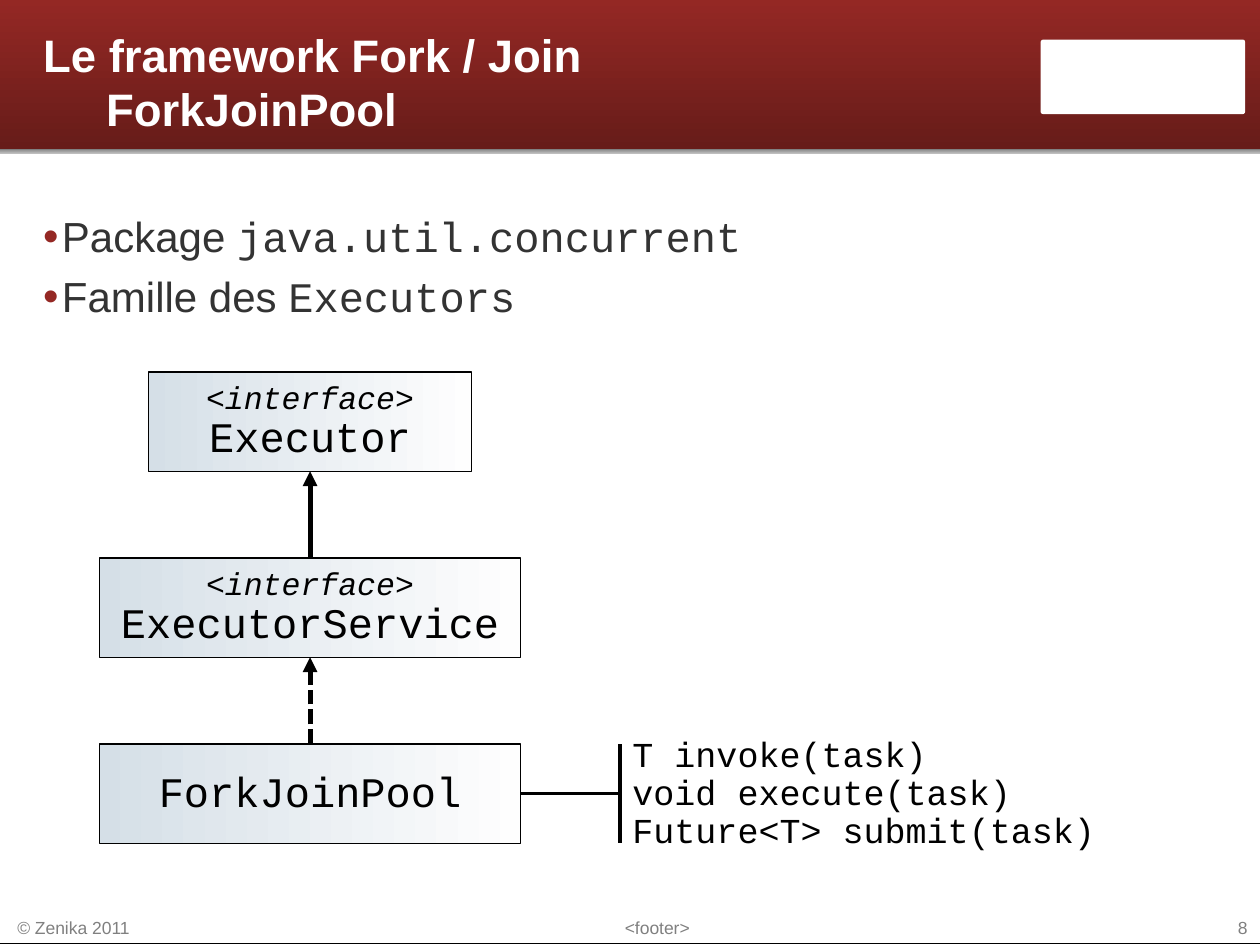
from dataclasses import dataclass

from lxml import etree
from pptx import Presentation
from pptx import util as u
from pptx.dml.color import RGBColor
from pptx.enum import dml, shapes, text
from pptx.oxml.ns import qn


@dataclass(frozen=True)
class Theme:
    sans: str = "Arial"
    mono: str = "Courier New"
    white: str = "FFFFFF"
    black: str = "000000"
    body: str = "333333"
    grey: str = "808080"
    red: str = "942824"
    header: tuple = ("942824", "671C19")
    separator: tuple = ("C0C0C0", "808080")
    box: tuple = ("D5DFE7", "FEFEFE")
    title_size: int = 26
    body_size: int = 24
    method_size: int = 20
    stereotype_size: int = 18
    footer_size: int = 10


@dataclass(frozen=True)
class TypeBox:
    name: str
    top: float
    width: float
    is_interface: bool = True


@dataclass(frozen=True)
class Footer:
    words: str
    left: float
    width: float
    align: text.PP_ALIGN


THEME = Theme()
AXIS, BOX_HEIGHT = 6.25, 2
METHODS_LEFT = 12.5
TYPES = [
    TypeBox("Executor", 7.5, 6.5),
    TypeBox("ExecutorService", 11.25, 8.5),
    TypeBox("ForkJoinPool", 15, 8.5, False),
]
METHODS = ["T invoke(task)", "void execute(task)", "Future<T> submit(task)"]
BULLETS = [("Package ", "java.util.concurrent"), ("Famille des ", "Executors")]
FOOTERS = [
    Footer("© Zenika 2011", 0.1, 3, text.PP_ALIGN.LEFT),
    Footer("<footer>", 9.5, 7.5, text.PP_ALIGN.CENTER),
    Footer("8", 22.4, 3, text.PP_ALIGN.RIGHT),
]


def rgb(value: str) -> RGBColor:
    return RGBColor.from_string(value)


def lengths(*values: float) -> list:
    return [u.Cm(value) for value in values]


def set_font(font, name: str, size: float, color: str, bold=False, italic=False) -> None:
    font.name, font.size = name, u.Pt(size)
    font.bold, font.italic = bold, italic
    font.color.rgb = rgb(color)


def set_margins(frame, value: float) -> None:
    frame.margin_left = frame.margin_right = u.Cm(value)
    frame.margin_top = frame.margin_bottom = u.Cm(value / 2)


def add_panel(slide, left, top, width, height, fill, angle=0, line=None,
              kind=shapes.MSO_SHAPE.RECTANGLE):
    """Draw a filled shape; a pair of colours gives a gradient."""
    shape = slide.shapes.add_shape(kind, *lengths(left, top, width, height))
    shape.shadow.inherit = False
    if isinstance(fill, tuple):
        shape.fill.gradient()
        shape.fill.gradient_angle = angle
        for stop, color in zip(shape.fill.gradient_stops, fill):
            stop.color.rgb = rgb(color)
    else:
        shape.fill.solid()
        shape.fill.fore_color.rgb = rgb(fill)
    if line is None:
        shape.line.fill.background()
    else:
        shape.line.color.rgb = rgb(THEME.black)
        shape.line.width = u.Pt(line)
    return shape


def add_text_box(slide, left, top, width, height, margin=0.25):
    frame = slide.shapes.add_textbox(*lengths(left, top, width, height)).text_frame
    frame.word_wrap = True
    set_margins(frame, margin)
    return frame


def add_line(slide, start: tuple, end: tuple, width: float = 0, arrow=False, dash=None) -> None:
    connector = slide.shapes.add_connector(
        shapes.MSO_CONNECTOR.STRAIGHT, *lengths(*start, *end))
    connector.line.color.rgb = rgb(THEME.black)
    connector.line.width = u.Pt(width)
    if dash is not None:
        connector.line.dash_style = dash
    properties = connector._element.spPr
    if arrow:
        etree.SubElement(properties.find(qn("a:ln")), qn("a:tailEnd"), type="triangle")
    etree.SubElement(properties, qn("a:effectLst"))


def add_bullet(paragraph) -> None:
    properties = paragraph._p.get_or_add_pPr()
    properties.set("marL", str(u.Cm(0.38)))
    properties.set("indent", str(-u.Cm(0.38)))
    color = etree.SubElement(properties, qn("a:buClr"))
    etree.SubElement(color, qn("a:srgbClr"), val=THEME.red)
    etree.SubElement(properties, qn("a:buSzPct"), val="105000")
    etree.SubElement(properties, qn("a:buFont"), typeface=THEME.sans)
    etree.SubElement(properties, qn("a:buChar"), char="•")


def add_type_box(slide, item: TypeBox) -> None:
    shape = add_panel(slide, AXIS - item.width / 2, item.top, item.width, BOX_HEIGHT,
                      THEME.box, line=0)
    frame = shape.text_frame
    frame.word_wrap = False
    set_margins(frame, 0.25)
    frame.vertical_anchor = text.MSO_ANCHOR.MIDDLE
    frame.text = f"<interface>\n{item.name}" if item.is_interface else item.name
    for paragraph in frame.paragraphs:
        paragraph.alignment = text.PP_ALIGN.CENTER
        paragraph.line_spacing = 0.9
        set_font(paragraph.font, THEME.mono, THEME.body_size, THEME.black)
    if item.is_interface:
        set_font(frame.paragraphs[0].font, THEME.mono, THEME.stereotype_size,
                 THEME.black, italic=True)


def add_backdrop(slide) -> None:
    add_panel(slide, -0.1, 2.75, 25.6, 16.27, THEME.white, line=0.75)
    add_panel(slide, -0.1, 0, 25.5, 3, THEME.header, angle=270)
    add_panel(slide, -0.1, 3, 25.5, 0.1, THEME.separator, angle=90)
    badge = add_panel(slide, 20.98, 0.8, 4.12, 1.5, THEME.white,
                      kind=shapes.MSO_SHAPE.ROUNDED_RECTANGLE)
    badge.adjustments[0] = 0.03
    for footer in FOOTERS:
        frame = add_text_box(slide, footer.left, 18.36, footer.width, 0.43)
        paragraph = frame.paragraphs[0]
        paragraph.text, paragraph.alignment = footer.words, footer.align
        set_font(paragraph.font, THEME.sans, THEME.footer_size, THEME.grey)


def format_title(slide) -> None:
    title = slide.shapes.title
    title.left, title.top, title.width, title.height = lengths(0.87, 0.25, 19.55, 2.77)
    frame = title.text_frame
    set_margins(frame, 0)
    frame.vertical_anchor = text.MSO_ANCHOR.MIDDLE
    frame.text = "Le framework Fork / Join\v\tForkJoinPool"
    paragraph = frame.paragraphs[0]
    paragraph.alignment = text.PP_ALIGN.LEFT
    set_font(paragraph.font, THEME.sans, THEME.title_size, THEME.white, bold=True)
    # Bring the title in front of the header band
    slide.shapes._spTree.append(title._element)


def add_body(slide) -> None:
    frame = add_text_box(slide, 0.87, 4.25, 23.45, 14, margin=0)
    for index, words in enumerate(BULLETS):
        paragraph = frame.add_paragraph() if index else frame.paragraphs[0]
        if index:
            paragraph.space_before = u.Pt(5.5)
        add_bullet(paragraph)
        for word, font_name in zip(words, (THEME.sans, THEME.mono)):
            run = paragraph.add_run()
            run.text = word
            set_font(run.font, font_name, THEME.body_size, THEME.body)


def add_diagram(slide) -> None:
    for item in TYPES:
        add_type_box(slide, item)
    # Inheritance arrows: solid extends, dashed implements
    for parent, child in zip(TYPES, TYPES[1:]):
        dash = None if child.is_interface else dml.MSO_LINE.SQUARE_DOT
        add_line(slide, (AXIS, child.top), (AXIS, parent.top + BOX_HEIGHT), 2.83, True, dash)
    # Methods of the pool
    pool = TYPES[-1]
    frame = add_text_box(slide, METHODS_LEFT, 14.74, 12, 2.5)
    frame.text = "\n".join(METHODS)
    for paragraph in frame.paragraphs:
        paragraph.line_spacing = 0.9
        set_font(paragraph.font, THEME.mono, THEME.method_size, THEME.black)
    middle = pool.top + BOX_HEIGHT / 2
    add_line(slide, (METHODS_LEFT, pool.top), (METHODS_LEFT, pool.top + BOX_HEIGHT))
    add_line(slide, (AXIS + pool.width / 2, middle), (METHODS_LEFT, middle))


def main() -> None:
    presentation = Presentation()
    presentation.slide_width, presentation.slide_height = lengths(25.4, 19.05)
    slide = presentation.slides.add_slide(presentation.slide_layouts[5])
    add_backdrop(slide)
    format_title(slide)
    add_body(slide)
    add_diagram(slide)
    presentation.save("out.pptx")


if __name__ == "__main__":
    main()
